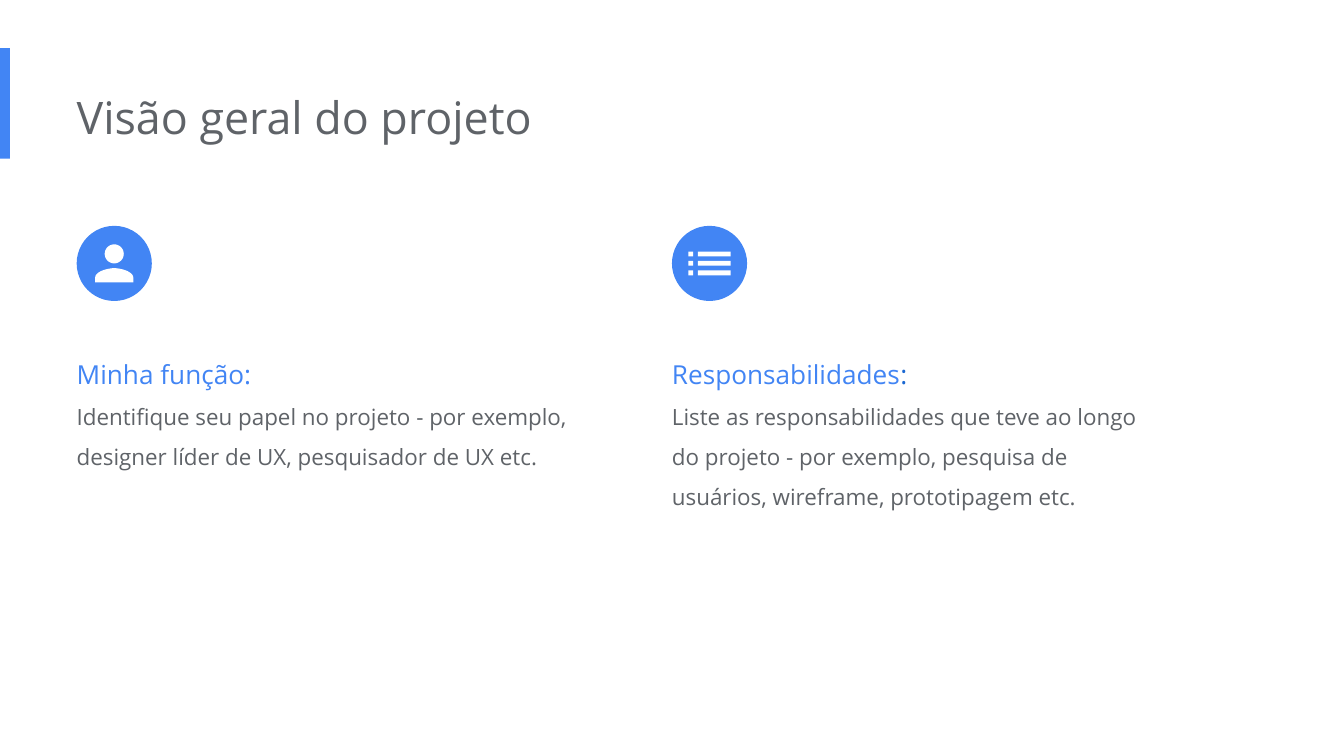
from dataclasses import dataclass
from math import cos, pi, sin

from pptx import Presentation
from pptx.dml.color import RGBColor
from pptx.enum.shapes import MSO_SHAPE
from pptx.enum.text import MSO_AUTO_SIZE
from pptx.shapes.autoshape import Shape
from pptx.slide import Slide
from pptx.text.text import TextFrame
from pptx.util import Cm, Pt

BLUE = RGBColor(0x42, 0x85, 0xF4)
DARK_BLUE = RGBColor(0x19, 0x67, 0xD2)
GRAY = RGBColor(0x5F, 0x63, 0x68)
WHITE = RGBColor(0xFF, 0xFF, 0xFF)
FONT = "Open Sans"

LEFT_COLUMN, RIGHT_COLUMN = 1.45, 12.7
BADGE_TOP, BADGE_SIZE = 4.27, 1.42
STEPS = 16

Point = tuple[float, float]
Contour = list[Point]


@dataclass
class TextRun:
    text: str
    size: int
    color: RGBColor


@dataclass
class Column:
    left: float
    height: float
    paragraphs: list[list[TextRun]]
    icon: list[Contour]


# Icon outlines, in centimetres from the centre of the badge
def curve(start: Point, first: Point, second: Point, end: Point) -> Contour:
    """Points along a cubic Bézier curve."""
    points = []
    for step in range(STEPS + 1):
        t = step / STEPS
        weights = ((1 - t) ** 3, 3 * t * (1 - t) ** 2, 3 * t**2 * (1 - t), t**3)
        controls = (start, first, second, end)
        points.append((sum(w * p[0] for w, p in zip(weights, controls)),
                       sum(w * p[1] for w, p in zip(weights, controls))))
    return points


def person_icon() -> list[Contour]:
    radius, angles = 0.18, [2 * pi * step / 48 for step in range(48)]
    head = [(radius * cos(angle), -0.18 + radius * sin(angle)) for angle in angles]
    left_side = curve((0, 0.09), (-0.12, 0.09), (-0.36, 0.15), (-0.36, 0.27)) + [(-0.36, 0.36)]
    right_side = [(-x, y) for x, y in reversed(left_side)]
    return [head, left_side + right_side[:-1]]


def list_icon() -> list[Contour]:
    half = 0.045
    return [
        [(left, row - half), (right, row - half), (right, row + half), (left, row + half)]
        for row in (-0.18, 0, 0.18)
        for left, right in ((-0.4, -0.31), (-0.22, 0.4))
    ]


# Drawing functions
def paint(shape: Shape, color: RGBColor) -> None:
    shape.shadow.inherit = False
    shape.fill.solid()
    shape.fill.fore_color.rgb = color
    shape.line.fill.background()


def add_filled_shape(slide: Slide, kind: MSO_SHAPE, left: float, top: float,
                     width: float, height: float) -> None:
    paint(slide.shapes.add_shape(kind, Cm(left), Cm(top), Cm(width), Cm(height)), BLUE)


def add_icon(slide: Slide, center: Point, contours: list[Contour]) -> None:
    placed = [[(Cm(center[0] + x), Cm(center[1] + y)) for x, y in contour]
              for contour in contours]
    builder = slide.shapes.build_freeform(*placed[0][0])
    for index, contour in enumerate(placed):
        if index:
            builder.move_to(*contour[0])
        builder.add_line_segments(contour[1:], close=True)
    paint(builder.convert_to_shape(), WHITE)


def add_text(slide: Slide, left: float, top: float, width: float, height: float,
             paragraphs: list[list[TextRun]], line_spacing: float = 1.0) -> None:
    box = slide.shapes.add_textbox(Cm(left), Cm(top), Cm(width), Cm(height))
    frame: TextFrame = box.text_frame
    frame.word_wrap = True
    frame.auto_size = MSO_AUTO_SIZE.SHAPE_TO_FIT_TEXT
    frame.margin_left = 0
    frame.margin_right = frame.margin_top = frame.margin_bottom = Cm(0.25)
    for index, text_runs in enumerate(paragraphs):
        paragraph = frame.add_paragraph() if index else frame.paragraphs[0]
        paragraph.line_spacing = line_spacing
        for text_run in text_runs:
            run = paragraph.add_run()
            run.text = text_run.text
            run.font.name = FONT
            run.font.size = Pt(text_run.size)
            run.font.color.rgb = text_run.color


def add_column(slide: Slide, column: Column) -> None:
    add_text(slide, column.left, 6.22, 9.58, column.height, column.paragraphs, 1.5)
    add_filled_shape(slide, MSO_SHAPE.OVAL, column.left, BADGE_TOP, BADGE_SIZE, BADGE_SIZE)
    center = (column.left + BADGE_SIZE / 2, BADGE_TOP + BADGE_SIZE / 2)
    add_icon(slide, center, column.icon)


COLUMNS = [
    Column(LEFT_COLUMN, 2.69, [
        [TextRun("Minha função:", 14, BLUE)],
        [TextRun("Identifique seu papel no projeto - por exemplo, designer líder de UX, "
                 "pesquisador de UX etc.", 12, GRAY)],
    ], person_icon()),
    Column(RIGHT_COLUMN, 3.45, [
        [TextRun("Responsabilidades", 14, BLUE), TextRun(":", 14, DARK_BLUE)],
        [TextRun("Liste as responsabilidades que teve ao longo do projeto - por exemplo, "
                 "pesquisa de usuários, wireframe, prototipagem etc.", 12, GRAY)],
    ], list_icon()),
]


def main() -> None:
    presentation = Presentation()
    presentation.slide_width, presentation.slide_height = Cm(25.4), Cm(14.29)
    slide = presentation.slides.add_slide(presentation.slide_layouts[6])

    # Accent bar and title
    add_filled_shape(slide, MSO_SHAPE.RECTANGLE, 0, 0.91, 0.19, 2.09)
    add_text(slide, LEFT_COLUMN, 1.45, 17.09, 1.55,
             [[TextRun("Visão geral do projeto", 24, GRAY)]])

    # Role and responsibilities
    for column in COLUMNS:
        add_column(slide, column)

    presentation.save("out.pptx")


if __name__ == "__main__":
    main()
